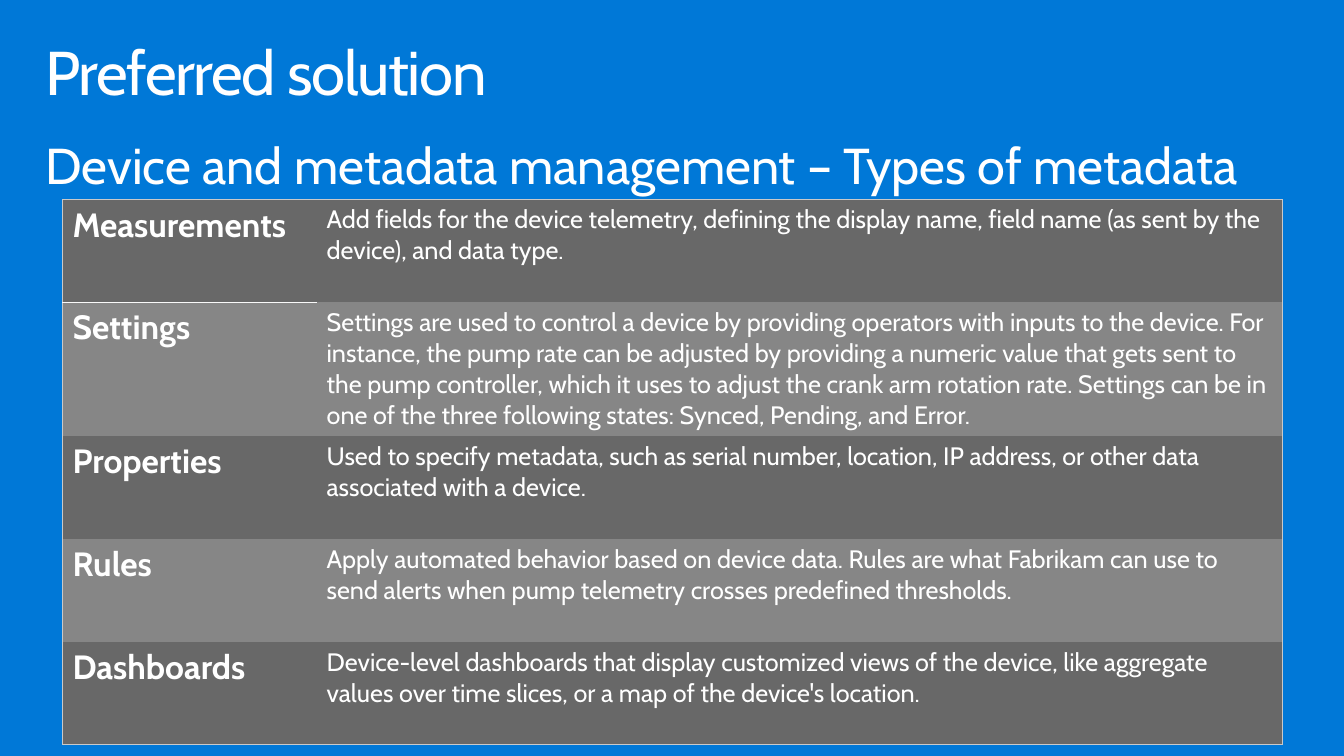
from pptx import Presentation
from pptx.dml.color import RGBColor
from pptx.enum import text as t
from pptx.oxml import parse_xml
from pptx.oxml.ns import nsdecls, qn
from pptx.util import Inches, Pt

TITLE = "Preferred solution"
HEAD = "Device and metadata management – Types of metadata"
ROWS = [
    ("Measurements", "Add fields for the device telemetry, defining the display name, "
     "field name (as sent by the device), and data type."),
    ("Settings", "Settings are used to control a device by providing operators with "
     "inputs to the device. For instance, the pump rate can be adjusted by providing a "
     "numeric value that gets sent to the pump controller, which it uses to adjust the "
     "crank arm rotation rate. Settings can be in one of the three following states: "
     "Synced, Pending, and Error."),
    ("Properties", "Used to specify metadata, such as serial number, location, IP "
     "address, or other data associated with a device."),
    ("Rules", "Apply automated behavior based on device data. Rules are what Fabrikam "
     "can use to send alerts when pump telemetry crosses predefined thresholds."),
    ("Dashboards", "Device-level dashboards that display customized views of the "
     "device, like aggregate values over time slices, or a map of the device's location."),
]
WIDTHS = [2.52, 9.58]
HEIGHTS = [1.02, 1.33, 1.02, 1.02, 1.02]
BANDS = ["686868", "868686"]
BLUE, WHITE, EDGE, RULE = "0078D7", "FFFFFF", "C9C9C9", "F9F9F9"
NO_STYLE = "{2D5ABB26-0587-4C30-8999-92F81FD0307C}"


def color(value):
    return RGBColor.from_string(value)


def style(para, size, bold=False):
    font = para.font
    font.name, font.size, font.bold = "Cabin", Pt(size), bold
    font.color.rgb = color(WHITE)


def fill_box(box, words, size):
    """Put one line of top-aligned heading text in a box."""
    frame = box.text_frame
    frame.text = words
    frame.word_wrap = True
    frame.auto_size = t.MSO_AUTO_SIZE.NONE
    frame.vertical_anchor = t.MSO_ANCHOR.TOP
    frame.margin_left = frame.margin_right = Inches(0.16)
    frame.margin_top = frame.margin_bottom = Inches(0.1)
    para = frame.paragraphs[0]
    para.alignment = t.PP_ALIGN.LEFT
    para.line_spacing = 0.9
    style(para, size)
    return para


def border(cell, side, value, width):
    cell._tc.get_or_add_tcPr().append(parse_xml(
        f'<a:ln{side} {nsdecls("a")} w="{Pt(width)}"><a:solidFill>'
        f'<a:srgbClr val="{value}"/></a:solidFill></a:ln{side}>'))


def add_grid(slide):
    frame = slide.shapes.add_table(
        len(ROWS), len(WIDTHS), Inches(0.62), Inches(1.98),
        Inches(sum(WIDTHS)), Inches(sum(HEIGHTS)))
    grid = frame.table
    grid._tbl.tblPr.find(qn("a:tableStyleId")).text = NO_STYLE
    for col, width in zip(grid.columns, WIDTHS):
        col.width = Inches(width)
    last = len(ROWS) - 1
    for i, row in enumerate(ROWS):
        grid.rows[i].height = Inches(HEIGHTS[i])
        for j, words in enumerate(row):
            cell = grid.cell(i, j)
            cell.text = words
            style(cell.text_frame.paragraphs[0], 18 if j else 24, bold=j == 0)
            border(cell, "R" if j else "L", EDGE, 0.75)
            if i == 0:
                border(cell, "T", EDGE, 0.75)
            if i == last:
                border(cell, "B", EDGE, 0.75)
            elif i == j == 0:
                border(cell, "B", RULE, 1.35)
            cell.fill.solid()
            cell.fill.fore_color.rgb = color(BANDS[i % 2])


def main():
    deck = Presentation()
    deck.slide_width, deck.slide_height = Inches(13.33), Inches(7.5)
    slide = deck.slides.add_slide(deck.slide_layouts[5])
    slide.background.fill.solid()
    slide.background.fill.fore_color.rgb = color(BLUE)

    title = slide.shapes.title
    title.left, title.top = Inches(0.29), Inches(0.32)
    title.width, title.height = Inches(12.75), Inches(0.98)
    para = fill_box(title, TITLE, 44.1)
    para.runs[0]._r.get_or_add_rPr().set("spc", "-100")

    head = slide.shapes.add_textbox(
        Inches(0.29), Inches(1.3), Inches(12.74), Inches(0.7))
    fill_box(head, HEAD, 36)
    add_grid(slide)
    deck.save("out.pptx")


if __name__ == "__main__":
    main()
